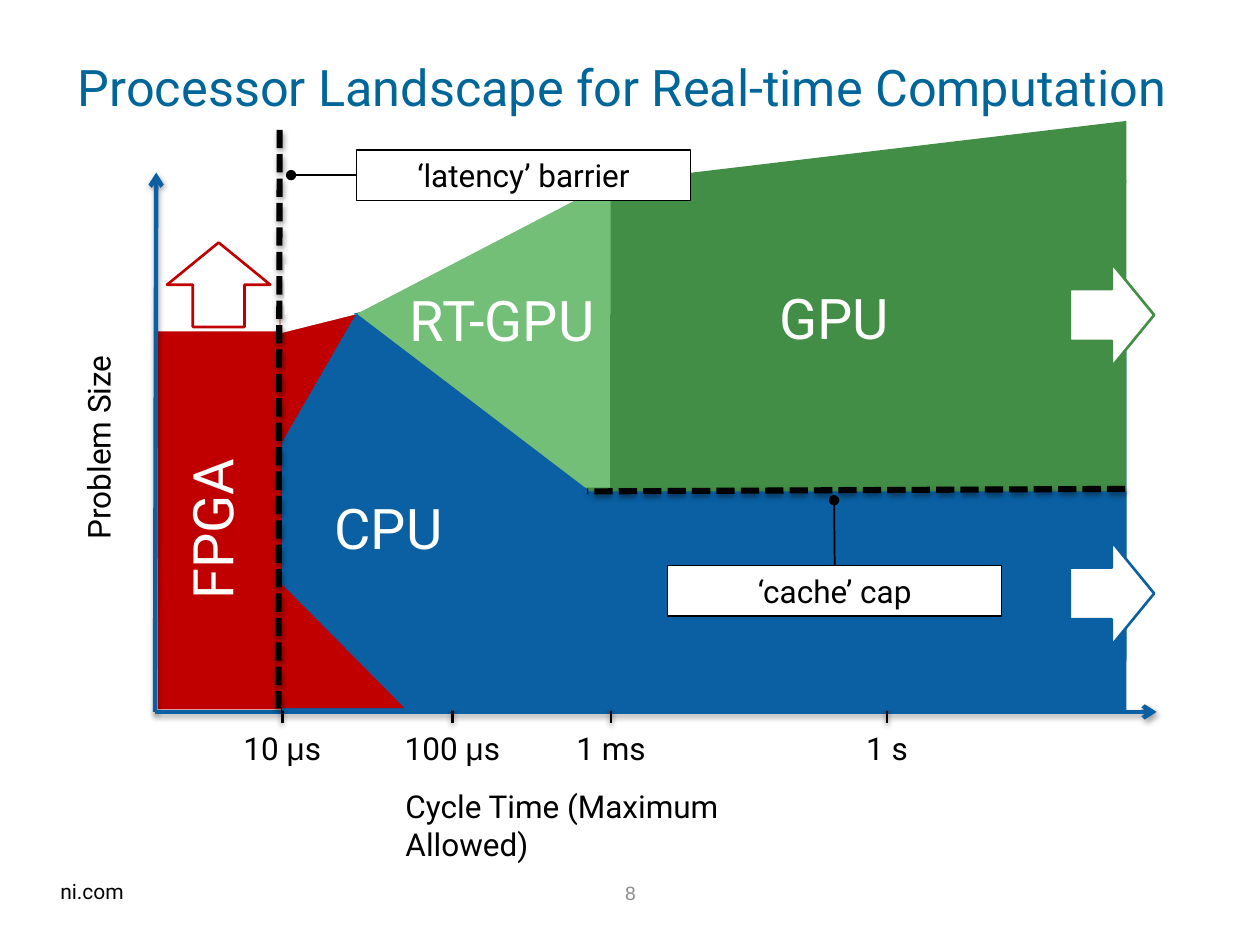
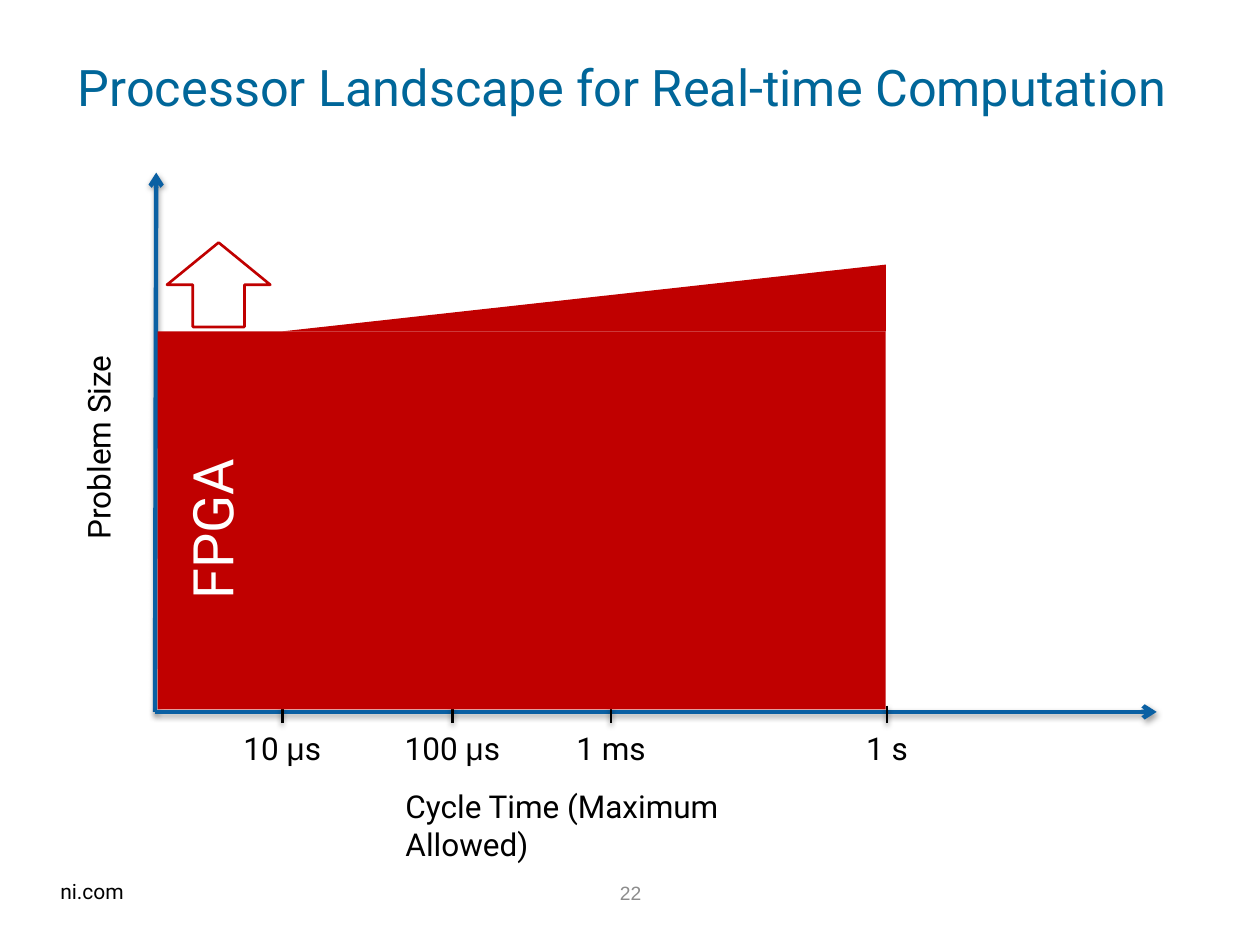
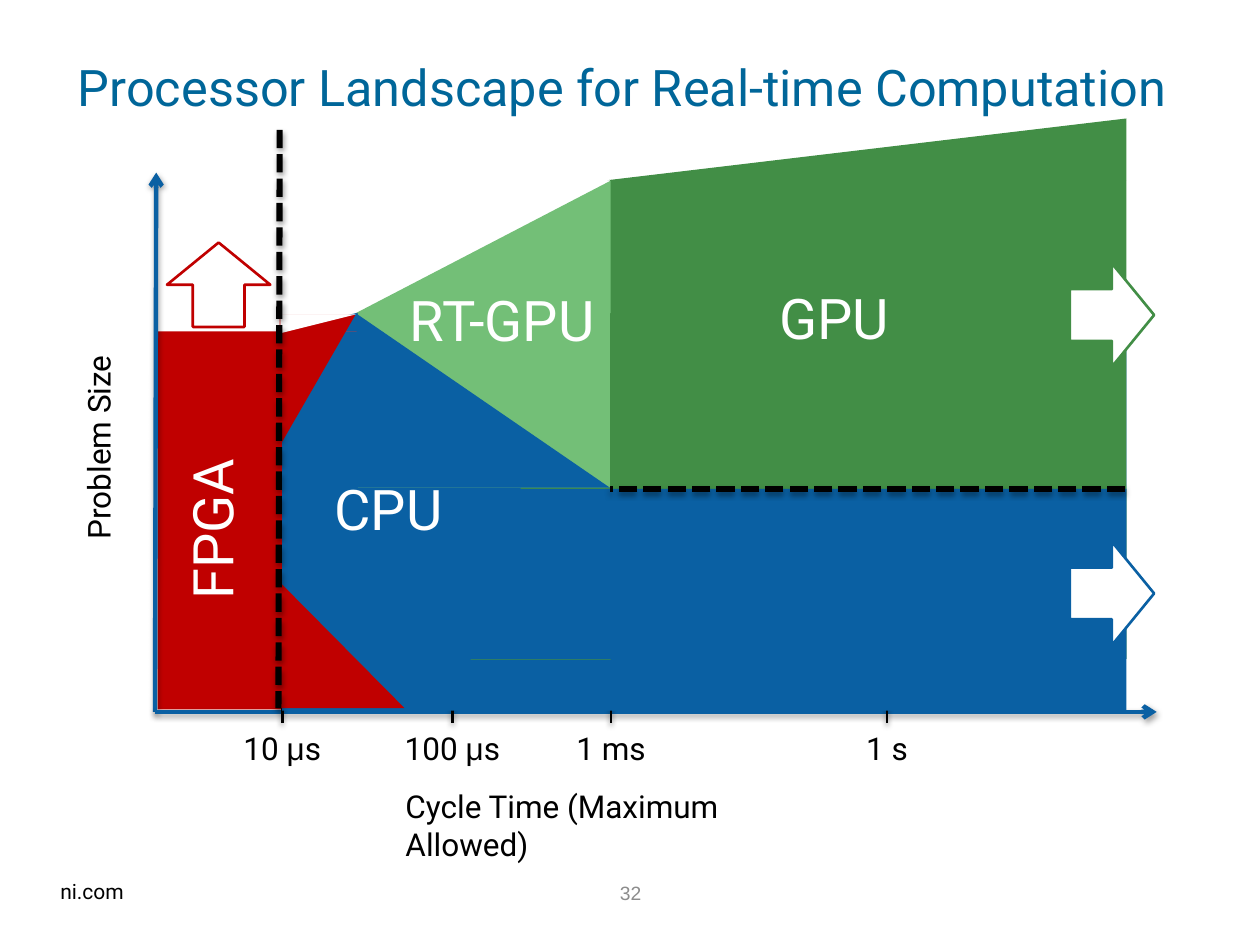
from lxml.etree import SubElement
from pptx import Presentation
from pptx.dml.color import RGBColor
from pptx.enum.dml import MSO_LINE
from pptx.enum.shapes import MSO_CONNECTOR, MSO_SHAPE
from pptx.enum.text import MSO_ANCHOR, MSO_AUTO_SIZE, PP_ALIGN
from pptx.oxml.ns import qn
from pptx.util import Inches, Pt

HUES = {
    "title": "006699", "ink": "000000", "paper": "FFFFFF", "page": "8C8C8C",
    "red": "C00000", "blue": "0A60A3", "green": "428E46", "lime": "73BF77",
}
COLS, ROWS = 100, 75
TITLE = "Processor Landscape for Real-time Computation"
TICKS = [  # column, label width, runs with their fonts
    (22.4, 8.8, [("10 ", "Roboto"), ("μ", "Arial"), ("s", "Roboto")]),
    (35.9, 10.2, [("100 ", "Roboto"), ("μ", "Arial"), ("s", "Roboto")]),
    (48.5, 8.6, [("1 ms", "Roboto")]),
    (70.4, 7.5, [("1 s", "Roboto")]),
]
RECT, WEDGE = MSO_SHAPE.RECTANGLE, MSO_SHAPE.RIGHT_TRIANGLE
PEAK, ARROW = MSO_SHAPE.ISOSCELES_TRIANGLE, MSO_SHAPE.RIGHT_ARROW
LEFT, MID = PP_ALIGN.LEFT, PP_ALIGN.CENTER


def hue(name):
    return RGBColor.from_string(HUES[name])


class Deck:
    """Holds the style and the current slide; lengths are grid cells."""

    def __init__(self):
        self.prs = Presentation()
        self.prs.slide_width, self.prs.slide_height = Inches(10), Inches(7.5)
        self.slide = None

    def grid(self, *cells):
        """Turn alternating columns and rows into slide lengths."""
        units = (self.prs.slide_width / COLS, self.prs.slide_height / ROWS)
        return [round(cell * units[i % 2]) for i, cell in enumerate(cells)]

    def page(self, number):
        self.slide = self.prs.slides.add_slide(self.prs.slide_layouts[6])
        self.text((48.1, 69.4, 3.9, 3), [(str(number), "Arial")], 11, "page",
                  MID, anchor=MSO_ANCHOR.MIDDLE, grow=False)
        self.text((3.8, 69.2, 7.1, 3), "ni.com", 12, wrap=False)

    def title(self):
        self.text((5.2, 1.6, 89.3, 10.5), TITLE, 28.8, "title",
                  anchor=MSO_ANCHOR.MIDDLE, grow=False)

    def words(self, shape, runs, size, color, align, anchor=MSO_ANCHOR.TOP,
              wrap=True, grow=True, turn=False):
        """Put the runs into the shape as one paragraph."""
        frame = shape.text_frame
        frame.word_wrap, frame.vertical_anchor = wrap, anchor
        frame.auto_size = (MSO_AUTO_SIZE.SHAPE_TO_FIT_TEXT if grow
                           else MSO_AUTO_SIZE.NONE)
        if turn:
            frame._txBody.bodyPr.set("vert", "vert270")
        para = frame.paragraphs[0]
        para.alignment = align
        for part, face in [(runs, "Roboto")] if isinstance(runs, str) else runs:
            run = para.add_run()
            run.text = part
            run.font.name, run.font.size = face, Pt(size)
            run.font.color.rgb = hue(color)

    def text(self, area, runs, size=18, color="ink", align=LEFT, **style):
        box = self.slide.shapes.add_textbox(*self.grid(*area))
        self.words(box, runs, size, color, align, **style)

    def shape(self, kind, area, fill, edge=None, width=1.5, turn=0, flip=""):
        item = self.slide.shapes.add_shape(kind, *self.grid(*area))
        item.shadow.inherit = False
        item.fill.solid()
        item.fill.fore_color.rgb = hue(fill)
        if edge:
            item.line.color.rgb, item.line.width = hue(edge), Pt(width)
        else:
            item.line.fill.background()
        item.rotation = turn
        for axis in flip:
            item._element.spPr.find(qn("a:xfrm")).set("flip" + axis, "1")
        if kind == PEAK:
            item.adjustments[0] = 0
        return item

    def label(self, area, name, fill, turn=False):
        """Large white name on a field of the same colour as its region."""
        item = self.shape(RECT, area, fill)
        self.words(item, name, 32, "paper", MID, turn=turn)

    def line(self, start, end, color="ink", width=1.5, head=None, dots=False,
             shade=True):
        item = self.slide.shapes.add_connector(
            MSO_CONNECTOR.STRAIGHT, *self.grid(*start, *end))
        item.line.color.rgb, item.line.width = hue(color), Pt(width)
        if dots:
            item.line.dash_style = MSO_LINE.SQUARE_DOT
        props = item._element.spPr
        if head:
            SubElement(props.find(qn("a:ln")), qn("a:tailEnd"), type=head)
        glow = SubElement(props, qn("a:effectLst"))
        if shade:
            cast = SubElement(glow, qn("a:outerShdw"), blurRad=str(Pt(3.1)),
                              dist=str(Pt(1.6)), dir="5400000", rotWithShape="0")
            ink = SubElement(cast, qn("a:srgbClr"), val=HUES["ink"])
            SubElement(ink, qn("a:alpha"), val="38000")
        return item

    def note(self, area, remark, side, start, end):
        """Boxed remark with a dotted pointer leaving the given side."""
        box = self.shape(RECT, area, "paper", "ink", 0.75)
        self.words(box, remark, 18, "ink", MID)
        stem = self.line(start, end, width=1, head="oval", shade=False)
        stem.begin_connect(box, side)


def fpga(deck):
    deck.shape(ARROW, (14, 18.5, 6.7, 8.2), "paper", "red", turn=270)
    deck.shape(RECT, (12.5, 26.3, 57.8, 30), "red")
    deck.label((13.6, 35, 7.4, 14), "FPGA", "red", turn=True)
    deck.shape(WEDGE, (43.7, -0.3, 5.3, 47.9), "red", turn=270)


def axes(deck):
    zero = (12.3, 56.5)
    deck.line(zero, (12.4, 13.7), "blue", 2.5, "arrow")
    deck.text((5.8, 29.6, 5, 14.2), "Problem Size", wrap=False, turn=True)
    deck.line(zero, (91.8, 56.5), "blue", 2.5, "arrow")
    deck.text((31.2, 62, 34.7, 4), "Cycle Time (Maximum Allowed)")
    for col, wide, runs in TICKS:
        deck.text((col - wide / 2, 57.4, wide, 4), runs, align=MID)
        deck.line((col, 56), (col, 57.4))


def cpu(deck, top, name):
    deck.shape(RECT, (22.4, top, 67, 56.4 - top), "blue")
    deck.shape(WEDGE, (47.9, -15.2, 15.9, 67), "blue", turn=270)
    deck.label((23.6, name, 14.5, 6.4), "CPU", "blue")
    deck.shape(PEAK, (20, 27.2, 10.4, 6), "red", turn=90)
    deck.shape(PEAK, (22.2, 46.2, 9.9, 10), "red")
    deck.shape(PEAK, (24.5, 22.7, 1.5, 6), "paper", turn=90)
    deck.line((22.2, 10.3), (22.1, 56.2), width=3.5, dots=True)


def gpu(deck, rise, ramp):
    deck.shape(WEDGE, (23.9, 27.8, 38, 11.1), "green", turn=90, flip="HV")
    deck.shape(RECT, (48.4, 14.3, 41, 38), "green")
    deck.shape(WEDGE, (48.2, rise, 41.2, 4.9), "green", flip="H")
    deck.label((59, 22, 14.4, 6.3), "GPU", "green")
    deck.shape(RECT, (28.4, 24.8, 20, 13.9), "lime")
    deck.shape(WEDGE, (33.1, ramp, 10.5, 20.2), "lime", turn=90, flip="HV")
    deck.text((30.3, 22.2, 19.1, 6.4), "RT-GPU", 32, "paper", MID)


def cache(deck, left, top, drop):
    deck.shape(RECT, (36.9, top, 52.5, 13.5), "blue")
    deck.shape(WEDGE, (28.3, 24.9, 20.1, drop), "blue")
    deck.line((89.3, 38.8), (left, top), width=3.5, dots=True)
    for row, edge in ((20.9, "green"), (43, "blue")):
        deck.shape(ARROW, (84.9, row, 6.7, 8.2), "paper", edge)


def full(deck, number, top, name, rise, ramp, cap):
    """Slide with all processor regions."""
    deck.page(number)
    fpga(deck)
    deck.title()
    axes(deck)
    cpu(deck, top, name)
    gpu(deck, rise, ramp)
    cache(deck, *cap)


def main():
    deck = Deck()
    full(deck, 8, 26.1, 38.7, 9.6, 9.6, (46.6, 39, 15.3))
    deck.note((28.3, 11.9, 26.5, 4), "‘latency’ barrier", 1,
              (28.3, 13.9), (23.1, 13.9))
    deck.note((53, 44.9, 26.5, 4), "‘cache’ cap", 0,
              (66.25, 44.9), (66.2, 39.7))
    deck.shape(RECT, (22.6, 21, 5.5, 4), "paper")

    deck.page(22)
    deck.title()
    axes(deck)
    fpga(deck)

    full(deck, 32, 26.3, 37.2, 9.4, 9.5, (48.4, 38.8, 13.8))
    deck.prs.save("out.pptx")


if __name__ == "__main__":
    main()
